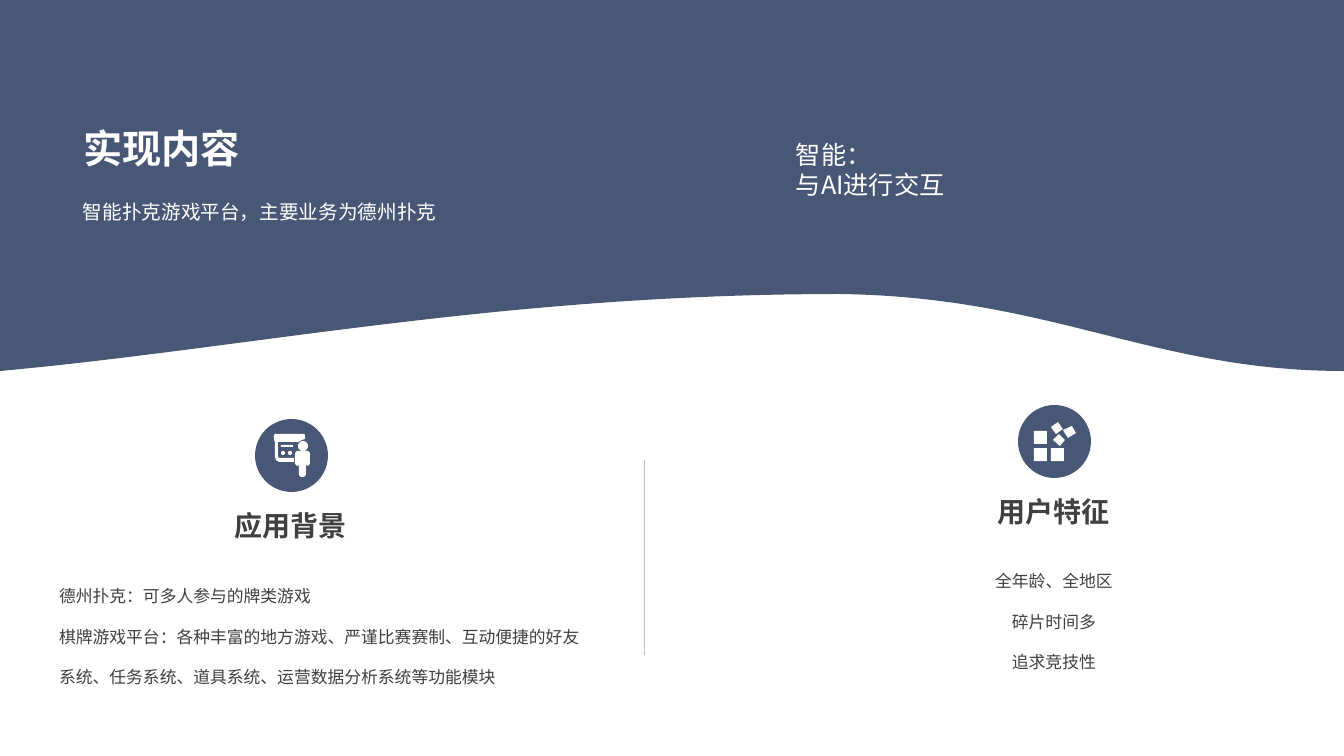
from dataclasses import dataclass
from math import cos, pi, sin

from pptx import Presentation
from pptx.dml.color import RGBColor
from pptx.enum.shapes import MSO_CONNECTOR as LINE, MSO_SHAPE as SHAPE
from pptx.enum.text import MSO_ANCHOR as ANCHOR, MSO_AUTO_SIZE as FIT, PP_ALIGN as ALIGN
from pptx.oxml.ns import qn
from pptx.util import Emu, Pt
from lxml.etree import SubElement

WIDE, HIGH = 1344, 756
SCALE = 12192000 / WIDE


def px(n):
    return Emu(round(n * SCALE))


@dataclass(frozen=True)
class Theme:
    main: str = "485776"
    white: str = "FFFFFF"
    dark: str = "404040"
    rule: str = "BFBFBF"
    font: str = "Arial"
    cjk: str = "Noto Sans CJK SC"
    title: int = 28
    head: int = 20
    note: int = 18
    sub: int = 14
    body: int = 12


# Outline helpers, all in px
def curve(a, b, c, d, steps=60):
    for i in range(1, steps + 1):
        t = i / steps
        u = 1 - t
        yield tuple(u**3 * p + 3 * u * u * t * q + 3 * u * t * t * r + t**3 * s
                    for p, q, r, s in zip(a, b, c, d))


def disc(x, y, r, steps=24):
    return [(x + r * cos(2 * pi * i / steps), y + r * sin(2 * pi * i / steps))
            for i in range(steps)]


def rect(x, y, w, h):
    return [(x, y), (x + w, y), (x + w, y + h), (x, y + h)]


class Page:
    def __init__(self, slide, theme):
        self.slide, self.theme = slide, theme
        self.shapes = slide.shapes

    def paint(self, shape, color):
        shape.shadow.inherit = False
        shape.fill.solid()
        shape.fill.fore_color.rgb = RGBColor.from_string(color)
        shape.line.fill.background()
        return shape

    def circle(self, x, y, size):
        shape = self.shapes.add_shape(SHAPE.OVAL, px(x), px(y), px(size), px(size))
        self.paint(shape, self.theme.main)

    def free(self, loops, color):
        loops = [[(px(x), px(y)) for x, y in loop] for loop in loops]
        pen = self.shapes.build_freeform(*loops[0][0])
        for i, loop in enumerate(loops):
            if i:
                pen.move_to(*loop[0])
            pen.add_line_segments(loop[1:], close=True)
        return self.paint(pen.convert_to_shape(), color)

    def rule(self, x, top, end):
        line = self.shapes.add_connector(LINE.STRAIGHT, px(x), px(top), px(x), px(end))
        line.line.color.rgb = RGBColor.from_string(self.theme.rule)
        line.line.width = Pt(0.25)
        SubElement(line._element.spPr, qn("a:effectLst"))

    def text(self, box, lines, size, color, bold=False, align=ALIGN.LEFT,
             space=1.0, anchor=ANCHOR.TOP, font=None, holder=None):
        shape = self.shapes.add_textbox(0, 0, 0, 0) if holder is None else holder
        shape.left, shape.top, shape.width, shape.height = map(px, box)
        frame = shape.text_frame
        frame.text = "\n".join(lines)
        frame.word_wrap, frame.auto_size = True, FIT.NONE
        frame.vertical_anchor = anchor
        for par in frame.paragraphs:
            par.alignment, par.line_spacing = align, space
            par.space_before = par.space_after = Pt(0)
            props = par._p.get_or_add_pPr()
            props.set("marL", "0")
            props.set("indent", "0")
            SubElement(props, qn("a:buNone"))
            face = par.font
            face.name, face.size, face.bold = font or self.theme.font, Pt(size), bold
            face.color.rgb = RGBColor.from_string(color)


def main():
    deck = Presentation()
    deck.slide_width, deck.slide_height = px(WIDE), px(HIGH)
    theme = Theme()
    page = Page(deck.slides.add_slide(deck.slide_layouts[3]), theme)
    title, left, right = page.slide.placeholders

    # Wave banner, behind the placeholders
    crest = (840, 294)
    wave = page.free([[(0, -32), (WIDE, -32), (WIDE, 371),
                       *curve((WIDE, 371), (1152, 371), (1054, 297), crest),
                       *curve(crest, (502, 294), (251, 348), (0, 371))]], theme.main)
    page.shapes._spTree.insert(2, wave._element)

    # Banner text
    page.text((73, 116, 486, 64), ["实现内容"], theme.title, theme.white,
              bold=True, anchor=ANCHOR.MIDDLE, holder=title)
    page.text((73, 183, 473, 81), ["智能扑克游戏平台，主要业务为德州扑克"],
              theme.sub, theme.white, space=1.5)
    page.text((786, 134, 409, 72), ["智能：", "与AI进行交互"],
              theme.note, theme.white, font=theme.cjk)

    # Icons: speaker at a board, and scattered blocks
    board = [(274, 435), (275, 434), (304, 434), (305, 435), (305, 439), (302, 440),
             (298, 442), (278, 442), (278, 456), (279, 458), (294, 458), (294, 462),
             (279, 462), (276, 460), (275, 457), (275, 442), (274, 440)]
    torso = [(297, 451), (308, 451), (310, 453), (310, 464), (308, 466), (306, 465),
             (306, 475), (304, 477), (301, 477), (299, 475), (299, 465), (297, 466),
             (295, 464), (295, 453)]
    speaker = [board, torso, rect(281, 445, 12, 2), disc(283, 453, 2),
               disc(290, 453, 2), disc(303, 446, 5)]
    blocks = [rect(x, y, 13, 13) for x, y in ((1034, 431), (1034, 448), (1051, 448))]
    blocks += [[(1063, 429), (1058, 422), (1051, 427), (1056, 434)],
               [(1053, 440), (1060, 446), (1065, 440), (1059, 434)],
               [(1072, 426), (1063, 430), (1068, 438), (1076, 433)]]

    # Two sections: icon, heading, list
    parts = [
        (140, 419, speaker, "应用背景", left, (49, 561, 555, 134), ALIGN.LEFT,
         ["德州扑克：可多人参与的牌类游戏",
          "棋牌游戏平台：各种丰富的地方游戏、严谨比赛赛制、互动便捷的好友"
          "系统、任务系统、道具系统、运营数据分析系统等功能模块"]),
        (903, 405, blocks, "用户特征", right, (903, 546, 302, 134), ALIGN.CENTER,
         ["全年龄、全地区", "碎片时间多", "追求竞技性"]),
    ]
    for x, y, icon, head, holder, box, align, lines in parts:
        page.circle(x + 115, y, 73)
        page.free(icon, theme.white)
        page.text((x, y + 80, 302, 52), [head], theme.head, theme.dark, bold=True,
                  align=ALIGN.CENTER, anchor=ANCHOR.MIDDLE)
        page.text(box, lines, theme.body, theme.dark, align=align, space=2.0,
                  holder=holder)

    # Divider
    page.rule(644, 460, 655)

    deck.save("out.pptx")


if __name__ == "__main__":
    main()
